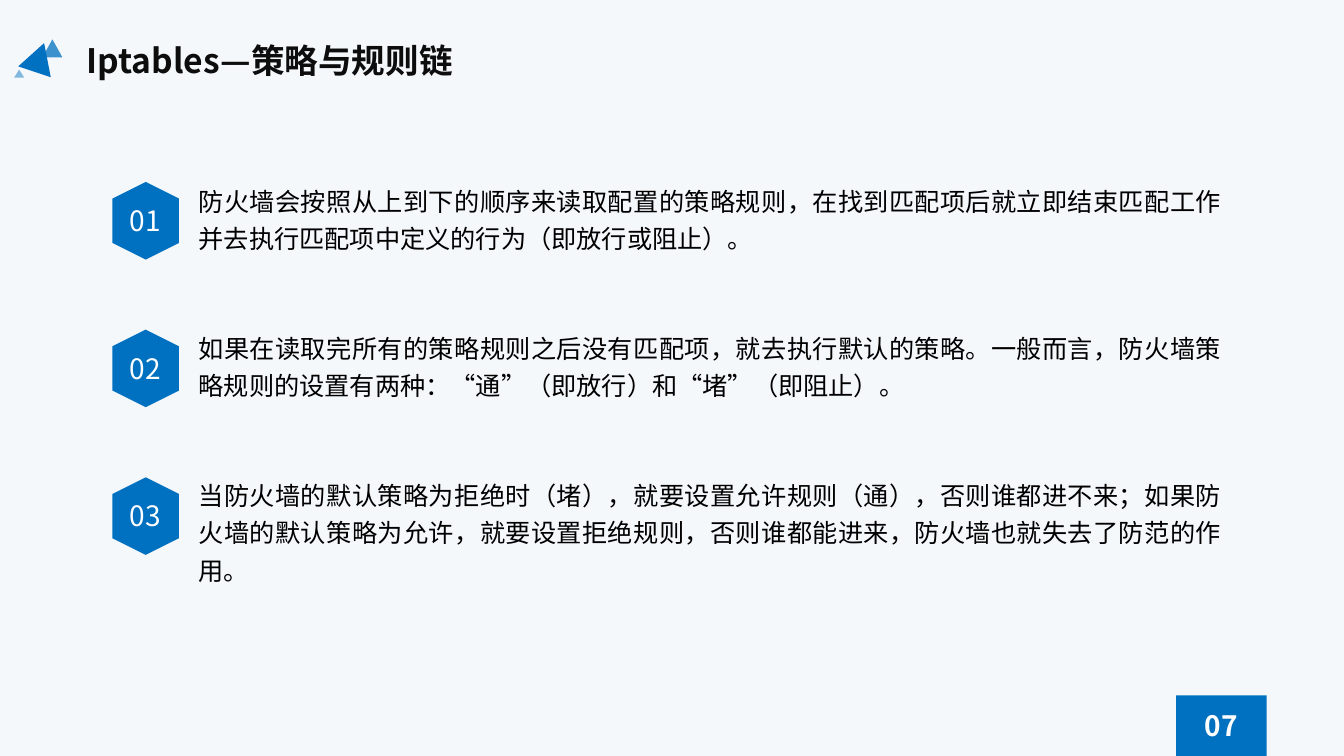
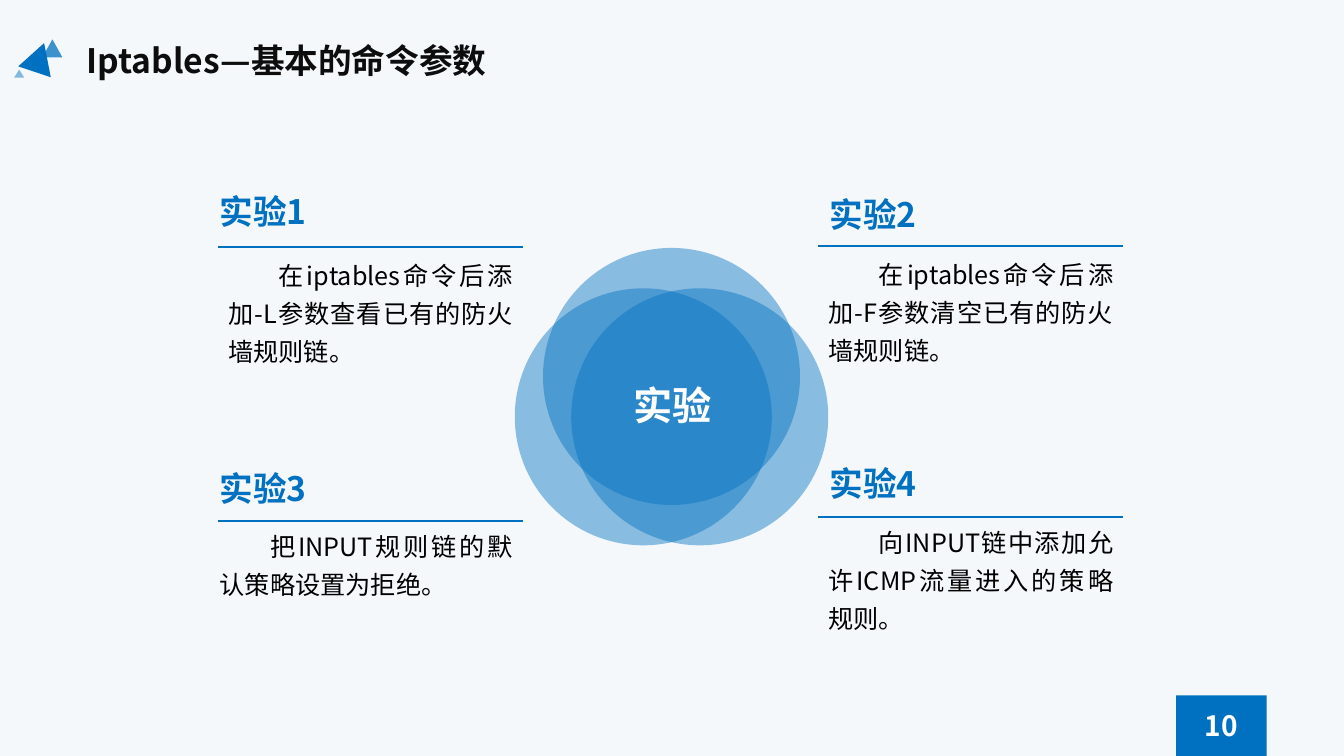
import lxml.etree
import pptx
import pptx.dml.color
import pptx.enum.shapes
import pptx.enum.text
import pptx.oxml.ns
import pptx.util

FONT = "Noto Sans CJK SC"
BLUE, INK, BLACK, WHITE, PALE = "0070C0", "0D0D0D", "000000", "FFFFFF", "F5F8FB"
SHAPE = pptx.enum.shapes.MSO_SHAPE
ALIGN = pptx.enum.text.PP_ALIGN
ANCHOR = pptx.enum.text.MSO_ANCHOR
rgb = pptx.dml.color.RGBColor.from_string
qn = pptx.oxml.ns.qn

prs = pptx.Presentation()
prs.slide_width = pptx.util.Inches(13.33)
prs.slide_height = pptx.util.Inches(7.5)
COL = prs.slide_width / 40
ROW = prs.slide_height / 30


def add(s, kind, x, y, w, h, alpha=100, rot=0):
    area = [int(v) for v in (x * COL, y * ROW, w * COL, h * ROW)]
    if kind is None:
        return s.shapes.add_textbox(*area)
    sp = s.shapes.add_shape(kind, *area)
    sp.shadow.inherit = False
    sp.rotation = rot
    sp.line.fill.background()
    sp.fill.solid()
    sp.fill.fore_color.rgb = rgb(BLUE)
    if alpha < 100:
        clr = sp.fill._xPr.find(".//" + qn("a:srgbClr"))
        lxml.etree.SubElement(clr, qn("a:alpha")).set("val", str(alpha * 1000))
    return sp


def write(sp, texts, size, color, bold=False, align=ALIGN.LEFT,
          spacing=1.0, indent=0, gap=0, anchor=ANCHOR.TOP):
    tf = sp.text_frame
    tf.word_wrap = True
    tf.auto_size = pptx.enum.text.MSO_AUTO_SIZE.NONE
    tf.vertical_anchor = anchor
    for i, text in enumerate(texts):
        p = tf.add_paragraph() if i else tf.paragraphs[0]
        pPr = p._p.get_or_add_pPr()
        pPr.set("marL", "0")
        pPr.set("indent", str(pptx.util.Inches(indent)))
        lxml.etree.SubElement(pPr, qn("a:buNone"))
        p.alignment = align
        p.line_spacing = spacing
        p.space_before = pptx.util.Pt(gap if i else 0)
        r = p.add_run()
        r.text = text
        r.font.size = pptx.util.Pt(size)
        r.font.bold = bold
        r.font.color.rgb = rgb(color)
        r.font.name = FONT
        rPr = r._r.get_or_add_rPr()
        rPr.set("lang", "zh-CN")
        lxml.etree.SubElement(rPr, qn("a:ea")).set("typeface", FONT)


bg = prs.slide_master.background.fill
bg.solid()
bg.fore_color.rgb = rgb(PALE)

slides = []
for layout, title, number in [
    (1, "Iptables—策略与规则链", "07"),
    (5, "Iptables—基本的命令参数", "10"),
]:
    s = prs.slides.add_slide(prs.slide_layouts[layout])
    slides.append(s)
    sp = s.shapes.title
    sp.left, sp.top = int(2.28 * COL), int(1.4 * ROW)
    sp.width, sp.height = int(19.44 * COL), int(2 * ROW)
    write(sp, [title], 24, INK, bold=True)
    for x, y, w, h, alpha, rot in [
        (1.26, 1.56, 0.6, 0.72, 75, 0),
        (0.66, 1.68, 1.02, 1.2, 100, 18.5),
        (0.42, 2.76, 0.3, 0.32, 47, 0),
    ]:
        add(s, SHAPE.ISOSCELES_TRIANGLE, x, y, w, h, alpha, rot)
    sp = add(s, SHAPE.RECTANGLE, 35, 27.6, 2.7, 2.4)
    write(sp, [number], 20, WHITE, bold=True, align=ALIGN.CENTER, anchor=ANCHOR.MIDDLE)

s = slides[0]
rules = [
    "防火墙会按照从上到下的顺序来读取配置的策略规则，在找到匹配项后就立即结束匹配工作并去执行匹配项中定义的行为（即放行或阻止）。",
    "如果在读取完所有的策略规则之后没有匹配项，就去执行默认的策略。一般而言，防火墙策略规则的设置有两种：“通”（即放行）和“堵”（即阻止）。",
    "当防火墙的默认策略为拒绝时（堵），就要设置允许规则（通），否则谁都进不来；如果防火墙的默认策略为允许，就要设置拒绝规则，否则谁都能进来，防火墙也就失去了防范的作用。",
]
sp = s.placeholders[1]
sp.left, sp.top = int(5.61 * COL), int(6.88 * ROW)
sp.width, sp.height = int(31.05 * COL), int(16.5 * ROW)
write(sp, rules, 18, BLACK, align=ALIGN.JUSTIFY, spacing=1.25, gap=51)
for i in range(len(rules)):
    y = 7.44 + 5.86 * i
    add(s, SHAPE.HEXAGON, 3.18, y, 2.31, 2.64, rot=90)
    sp = add(s, None, 3.39, y + 0.44, 1.86, 1.76)
    write(sp, [f"{i + 1:02}"], 20, WHITE, align=ALIGN.CENTER)

s = slides[1]
RULE_W = 9.07
for i, (x, head_x, head_y, rule_y, body_x, body_y, text) in enumerate([
    (6.5, 6.24, 7.36, 9.8, 6.5, 9.84, "在iptables命令后添加-L参数查看已有的防火墙规则链。"),
    (24.36, 24.4, 7.48, 9.76, 24.36, 9.8, "在iptables命令后添加-F参数清空已有的防火墙规则链。"),
    (6.5, 6.24, 18.36, 20.68, 6.24, 20.6, "把INPUT规则链的默认策略设置为拒绝。"),
    (24.36, 24.4, 18.16, 20.52, 24.36, 20.44, "向INPUT链中添加允许ICMP流量进入的策略规则。"),
], 1):
    y = int(rule_y * ROW)
    ln = s.shapes.add_connector(pptx.enum.shapes.MSO_CONNECTOR.STRAIGHT,
                                int(x * COL), y, int((x + RULE_W) * COL), y)
    ln.line.color.rgb = rgb(BLUE)
    ln.line.width = pptx.util.Pt(1.75)
    lxml.etree.SubElement(ln._element.spPr, qn("a:effectLst"))
    write(add(s, None, head_x, head_y, 9.84, 2), [f"实验{i}"], 24, BLUE, bold=True)
    sp = add(s, None, body_x, body_y, x + RULE_W - body_x, 4.8)
    write(sp, [text], 18, BLACK, align=ALIGN.JUSTIFY, spacing=1.25, indent=0.5)

for x, y in [(17, 11.44), (16.16, 9.84), (15.32, 11.44)]:
    add(s, SHAPE.OVAL, x, y, 7.65, 10.2, alpha=44)
sp = add(s, None, 17.76, 14.92, 4.5, 2.28)
write(sp, ["实验"], 28, WHITE, bold=True, align=ALIGN.CENTER)

prs.save("out.pptx")
